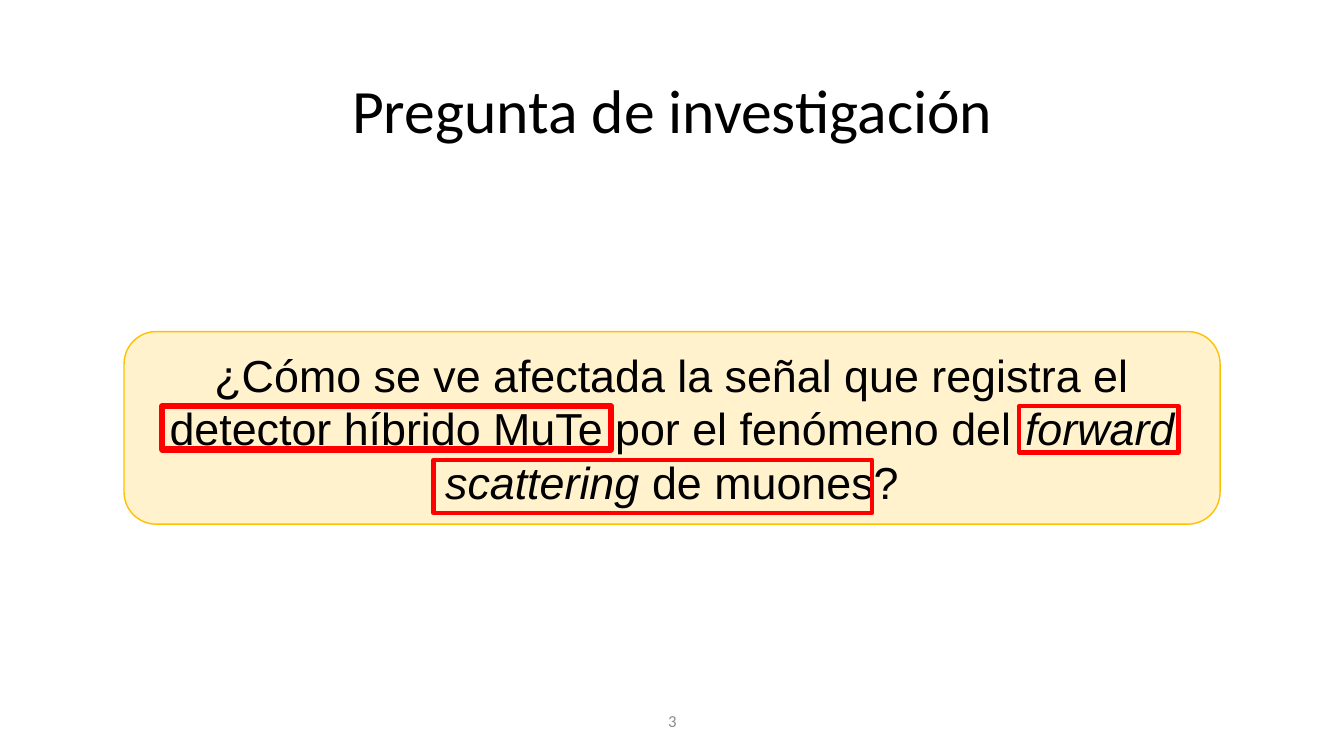
from pptx import Presentation
from pptx.dml.color import RGBColor
from pptx.enum.shapes import MSO_SHAPE
from pptx.enum.text import MSO_ANCHOR, PP_ALIGN
from pptx.util import Inches, Pt

HUES = {"ink": "000000", "gray": "8C8C8C", "cream": "FFF2CC",
        "gold": "FFC000", "red": "FF0000"}


def hue(name):
    return RGBColor.from_string(HUES[name])


def write(shape, *parts, size, font, color="ink", lead=None):
    frame = shape.text_frame
    frame.word_wrap = True
    frame.vertical_anchor = MSO_ANCHOR.MIDDLE
    para = frame.paragraphs[0]
    para.alignment = PP_ALIGN.CENTER
    if lead:
        para.line_spacing = lead
    for text, slant in parts:
        run = para.add_run()
        run.text = text
        run.font.size = Pt(size)
        run.font.name = font
        run.font.italic = slant
        run.font.color.rgb = hue(color)


class Deck:
    """Draws styled elements on a slide, placed in percent of its size."""

    def __init__(self):
        self.show = Presentation()
        self.show.slide_width = Inches(13.33)
        self.show.slide_height = Inches(7.5)
        self.slide = self.show.slides.add_slide(self.show.slide_layouts[5])

    def area(self, left, top, width, height):
        wide, high = self.show.slide_width, self.show.slide_height
        return [round(share * side / 100) for share, side in
                zip((left, top, width, height), (wide, high, wide, high))]

    def title(self, text, *place):
        head = self.slide.shapes.title
        head.left, head.top, head.width, head.height = self.area(*place)
        write(head, (text, False), size=44, font="Calibri", lead=0.9)

    def label(self, text, *place):
        box = self.slide.shapes.add_textbox(*self.area(*place))
        write(box, (text, False), size=12, font="Calibri", color="gray")

    def shape(self, kind, place, line, width, fill=None):
        form = self.slide.shapes.add_shape(kind, *self.area(*place))
        form.shadow.inherit = False
        form.line.color.rgb = hue(line)
        form.line.width = Pt(width)
        if fill:
            form.fill.solid()
            form.fill.fore_color.rgb = hue(fill)
        else:
            form.fill.background()
        return form

    def panel(self, parts, *place):
        form = self.shape(MSO_SHAPE.ROUNDED_RECTANGLE, place, "gold", 1, "cream")
        write(form, *parts, size=32, font="Arial")

    def mark(self, *place, width=3):
        self.shape(MSO_SHAPE.RECTANGLE, place, "red", width)


def main():
    deck = Deck()
    deck.title("Pregunta de investigación", 6.9, 5.33, 86.27, 19.33)
    deck.label("3", 38.78, 92.67, 22.5, 5.33)
    deck.panel([
        ("¿Cómo se ve afectada la señal que registra el detector híbrido MuTe "
         "por el fenómeno del ", False),
        ("forward scattering", True),
        (" de muones?", False),
    ], 9.23, 43.87, 81.55, 25.47)
    deck.mark(75.84, 53.73, 11.85, 6.13)
    deck.mark(32.26, 60.8, 32.63, 7.07)
    deck.mark(12.08, 53.73, 33.38, 5.73, width=4.5)
    deck.show.save("out.pptx")


if __name__ == "__main__":
    main()
